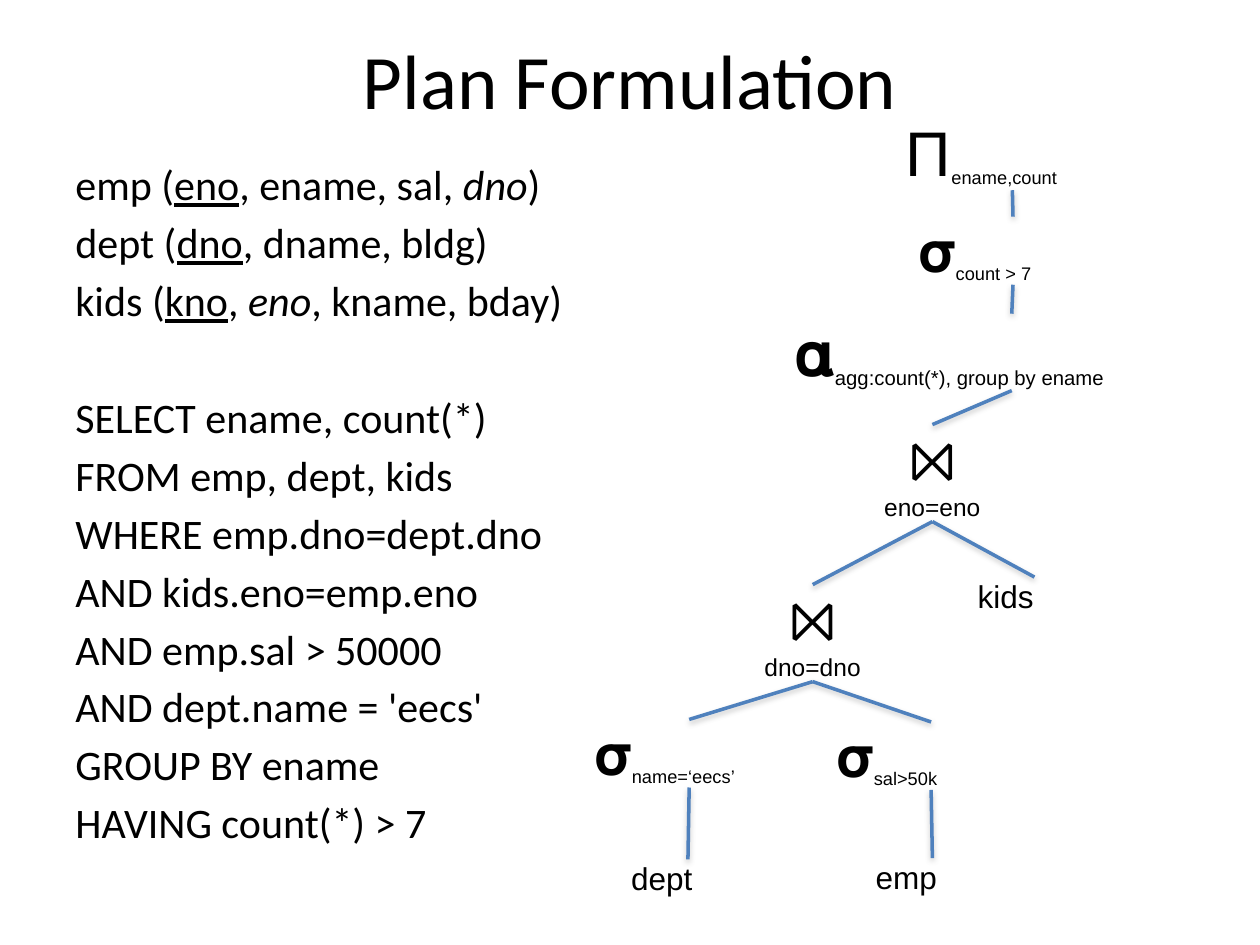
"""Build the Plan Formulation slide: a query beside its relational algebra tree."""
from dataclasses import dataclass
from lxml.etree import SubElement
from pptx import Presentation
from pptx.dml.color import RGBColor
from pptx.enum.shapes import MSO_CONNECTOR
from pptx.enum.text import MSO_ANCHOR, MSO_AUTO_SIZE, PP_ALIGN
from pptx.oxml.ns import qn
from pptx.util import Inches, Pt


@dataclass(frozen=True)
class Theme:
    """Colours, fonts, type sizes and spacing in points."""
    ink: str = "000000"
    edge: str = "4F81BD"
    shadow: str = "808080"
    text_font: str = "Calibri"
    tree_font: str = "Arial"
    title: int = 44
    body: int = 24
    big: int = 36
    operator: int = 32
    wide_sub: int = 20
    leaf: int = 18
    condition: int = 14
    edge_width: int = 2
    line_gap: float = 4.3
    block_gap: float = 37.9


class Deck:
    """Draws elements on the current slide, placed on a 100 by 75 grid."""

    def __init__(self, theme):
        """Start a presentation with one blank slide."""
        self.theme = theme
        self.prs = Presentation()
        self.prs.slide_width, self.prs.slide_height = Inches(10), Inches(7.5)
        self.s = self.prs.slides.add_slide(self.prs.slide_layouts[6])

    def grid(self, *cells):
        """Turn grid columns or rows into lengths."""
        return [int(self.prs.slide_width * c / 100) for c in cells]

    def box(self, at, **frame):
        """Add a wrapping text box with the given frame settings."""
        sp = self.s.shapes.add_textbox(*self.grid(*at))
        for name, value in {"word_wrap": True, **frame}.items():
            setattr(sp.text_frame, name, value)
        return sp

    def paragraph(self, tf, first, **style):
        """Return the first or a new paragraph with its format set."""
        p = tf.paragraphs[0] if first else tf.add_paragraph()
        for name, value in style.items():
            setattr(p, name, value)
        return p

    def run(self, p, text, font, size, sub=False, **style):
        """Add a run, lowered when it is a subscript."""
        r = p.add_run()
        r.text = text
        for name, value in {"name": font, "size": Pt(size), **style}.items():
            setattr(r.font, name, value)
        r.font.color.rgb = RGBColor.from_string(self.theme.ink)
        if sub:
            r._r.get_or_add_rPr().set("baseline", "-25000")

    def title(self, text, at):
        """Add the centred title."""
        tf = self.box(at, vertical_anchor=MSO_ANCHOR.MIDDLE).text_frame
        p = self.paragraph(tf, True, alignment=PP_ALIGN.CENTER)
        self.run(p, text, self.theme.text_font, self.theme.title)

    def body(self, blocks, at):
        """Add blocks of lines, each line a list of text and style pairs."""
        t, tf = self.theme, self.box(at).text_frame
        for b, block in enumerate(blocks):
            for n, line in enumerate(block):
                first = b == n == 0
                gap = 0 if first else t.line_gap if n else t.block_gap
                p = self.paragraph(tf, first, space_before=Pt(gap))
                for text, style in line:
                    self.run(p, text, t.text_font, t.body, **style)

    def node(self, at, lines, align=PP_ALIGN.LEFT):
        """Add a tree node, each line a list of text, size and subscript."""
        margins = {f"margin_{side}": 0 for side in ("left", "top", "right", "bottom")}
        sp = self.box(at, auto_size=MSO_AUTO_SIZE.SHAPE_TO_FIT_TEXT, **margins)
        for n, line in enumerate(lines):
            p = self.paragraph(sp.text_frame, n == 0, alignment=align)
            for text, size, sub in line:
                self.run(p, text, self.theme.tree_font, size, sub)
        return sp

    def leaf(self, at, text):
        """Add a base table."""
        return self.node(at, [[(text, self.theme.leaf, False)]])

    def unary(self, at, symbol, sub, size, sub_size):
        """Add an operator with a subscript."""
        return self.node(at, [[(symbol, size, False), (sub, sub_size, True)]])

    def join(self, at, condition):
        """Add a join with its condition below."""
        t = self.theme
        lines = [[("⨝", t.operator, False)], [(condition, t.condition, False)]]
        return self.node(at, lines, PP_ALIGN.CENTER)

    def edge(self, child, parent):
        """Link the top of a child to the bottom of its parent."""
        c = self.s.shapes.add_connector(MSO_CONNECTOR.STRAIGHT, 0, 0, 0, 0)
        c.begin_connect(child, 0)
        c.end_connect(parent, 2)
        c.line.color.rgb = RGBColor.from_string(self.theme.edge)
        c.line.width = Pt(self.theme.edge_width)
        effects = SubElement(c._element.spPr, qn("a:effectLst"))
        shadow = SubElement(effects, qn("a:outerShdw"), blurRad=str(Pt(3.1)),
                            dist=str(Pt(1.6)), dir="5400000", rotWithShape="0")
        color = SubElement(shadow, qn("a:srgbClr"), val=self.theme.shadow)
        SubElement(color, qn("a:alpha"), val="38000")


def main():
    """Build and save the slide."""
    t = Theme()
    deck = Deck(t)
    plain, key, foreign = {}, {"underline": True}, {"italic": True}
    schema = [
        [("emp (", plain), ("eno", key), (", ename, sal, ", plain), ("dno", foreign), (")", plain)],
        [("dept (", plain), ("dno", key), (", dname, bldg)", plain)],
        [("kids (", plain), ("kno", key), (", ", plain), ("eno", foreign), (", kname, bday)", plain)],
    ]
    query = ["SELECT ename, count(*)", "FROM emp, dept, kids", "WHERE emp.dno=dept.dno",
             "AND kids.eno=emp.eno", "AND emp.sal > 50000", "AND dept.name = 'eecs'",
             "GROUP BY ename", "HAVING count(*) > 7"]
    deck.title("Plan Formulation", (5, 0, 90, 12.5))
    deck.body([schema, [[(line, plain)] for line in query]], (5, 12.1, 43.2, 49.5))

    project = deck.unary((71.9, 9, 16.9, 6.1), "Π", "ename,count", t.big, t.leaf)
    having = deck.unary((72.9, 17.2, 15, 5.4), "𝛔", "count > 7", t.operator, t.leaf)
    group = deck.unary((63.1, 24.9, 34.4, 6.1), "𝛂", "agg:count(*), group by ename",
                       t.big, t.wide_sub)
    join_kids = deck.join((68.5, 33.7, 11, 7.7), "eno=eno")
    join_dept = deck.join((59, 46.4, 11, 7.7), "dno=dno")
    kids = deck.leaf((77.6, 45.8, 9, 3), "kids")
    by_name = deck.unary((47.2, 57.1, 15, 5.4), "𝛔", "name=‘eecs’", t.operator, t.leaf)
    by_sal = deck.unary((66.4, 57.3, 15, 5.4), "𝛔", "sal>50k", t.operator, t.leaf)
    dept = deck.leaf((50.1, 68.2, 9, 3), "dept")
    emp = deck.leaf((69.5, 68.1, 9, 3), "emp")
    for child, parent in [(having, project), (group, having), (join_kids, group),
                          (join_dept, join_kids), (kids, join_kids), (by_name, join_dept),
                          (by_sal, join_dept), (dept, by_name), (emp, by_sal)]:
        deck.edge(child, parent)
    deck.prs.save("out.pptx")


if __name__ == "__main__":
    main()
